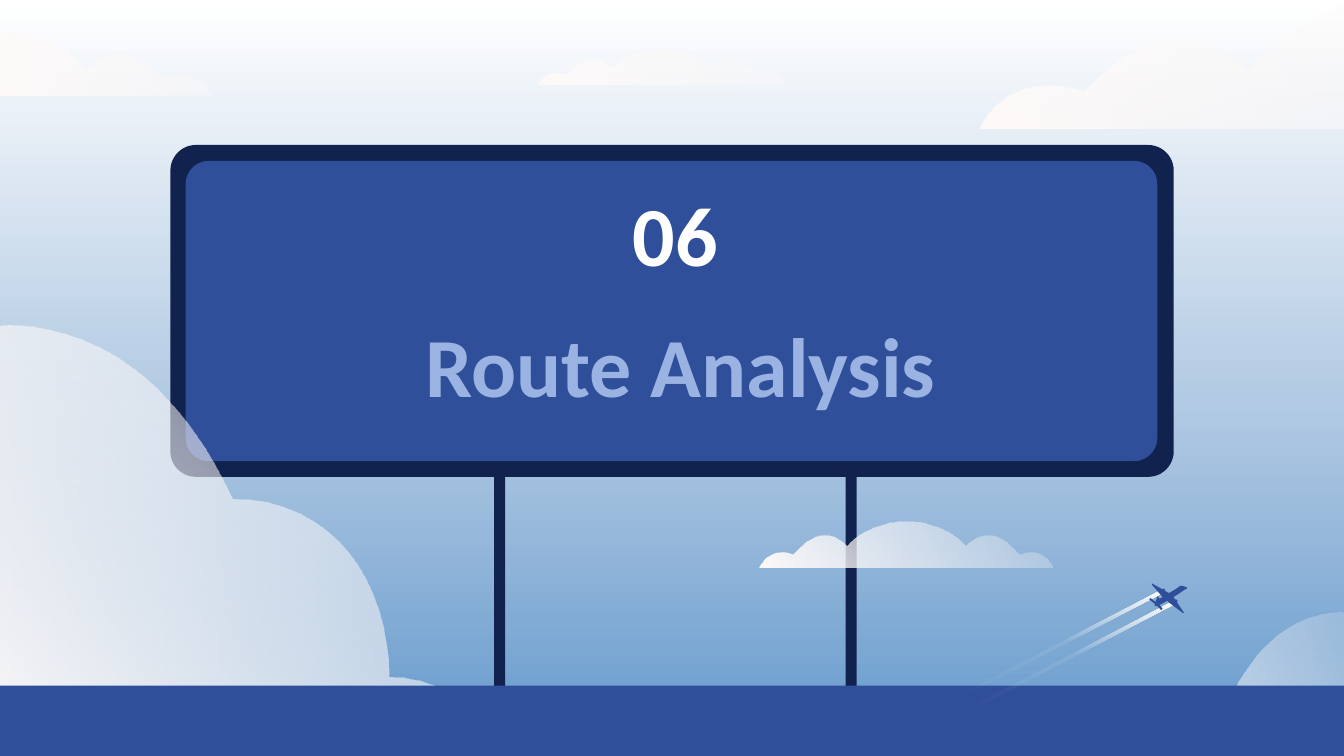
from lxml import etree
from pptx import Presentation
from pptx.dml.color import RGBColor
from pptx.enum.shapes import MSO_SHAPE
from pptx.enum.text import MSO_ANCHOR, MSO_AUTO_SIZE, PP_ALIGN
from pptx.oxml.ns import qn
from pptx.util import Pt

ROUND, RECT = MSO_SHAPE.ROUNDED_RECTANGLE, MSO_SHAPE.RECTANGLE
MIDDLE, CENTER, FIXED = MSO_ANCHOR.MIDDLE, PP_ALIGN.CENTER, MSO_AUTO_SIZE.NONE
HEX = {"navy": "11224E", "blue": "304F9B", "pale": "9AB3E3", "white": "FFFFFF",
       "cream": "FEFAF9", "sky": "6599CC", "mist": "B2CAE3"}
UNIT = Pt(0.72)  # drawing grid of the outlines


def blend(fill, stops, angle):
    """Gradient fill; each stop is (position %, colour name, opacity %)."""
    fill.gradient()
    fill.gradient_angle = angle
    items = fill._fill._gradFill.find(qn("a:gsLst"))
    for old in list(items):
        items.remove(old)
    for pos, name, alpha in stops:
        stop = etree.SubElement(items, qn("a:gs"), pos=str(pos * 1000))
        tint = etree.SubElement(stop, qn("a:srgbClr"), val=HEX[name])
        if alpha < 100:
            etree.SubElement(tint, qn("a:alpha"), val=str(alpha * 1000))


def draw(start, *parts):
    """Closed outline: two numbers make a line, six make a Bezier curve."""
    dots = [part[i:i + 2] for part in parts for i in range(0, len(part), 2)]
    pen = shapes.build_freeform(start[0] * UNIT, start[1] * UNIT)
    pen.add_line_segments([(x * UNIT, y * UNIT) for x, y in dots], close=True)
    form = pen.convert_to_shape()
    # Join the three lines of each curve into one Bezier segment
    lines = iter(list(form._element.iter(qn("a:lnTo"))))
    for part in parts:
        group = [next(lines) for _ in range(len(part) // 2)]
        if len(group) == 3:
            curve = etree.Element(qn("a:cubicBezTo"))
            group[0].addprevious(curve)
            for line in group:
                curve.append(line[0])
                line.getparent().remove(line)
    form.shadow.inherit = False
    form.line.fill.background()
    return form


deck = Presentation()
deck.slide_width, deck.slide_height = Pt(720), Pt(405)
slide = deck.slides.add_slide(deck.slide_layouts[0])
shapes = slide.shapes

# Sky
blend(slide.background.fill,
      [(0, "sky", 100), (47, "mist", 100), (100, "white", 100)], 90)

# Signboard: two posts, frame, panel
board = [(264.7, 166, 5.9, 239, 0.167, "navy"), (453, 166, 5.9, 239, 0.167, "navy"),
         (91.3, 77.7, 537.5, 177.8, 0.077, "navy"),
         (99.5, 86.2, 520.5, 160.8, 0.077, "blue")]
for x, y, w, h, bend, name in board:
    part = shapes.add_shape(ROUND, Pt(x), Pt(y), Pt(w), Pt(h))
    part.adjustments[0] = bend
    part.shadow.inherit = False
    part.fill.solid()
    part.fill.fore_color.rgb = RGBColor.from_string(HEX[name])
    part.line.fill.background()

# Clouds at the edges
haze = [(0, "cream", 19), (100, "cream", 100)]
edge = [
    [(-1, 243), (-1, 243, 106, 226, 173, 371), (248, 371, 289, 433, 289, 503),
     (354, 503, 383, 568, 383, 568), (-1, 568)],
    [(1000, 456), (1000, 456, 949, 448, 916, 518), (880, 518, 861, 547, 861, 581),
     (829, 581, 815, 612, 815, 612), (1000, 612)],
    [(-1, 24), (-1, 24, 29, 16, 64, 51), (90, 30, 106, 44, 121, 58),
     (149, 49, 158, 71, 158, 71), (-1, 71)],
    [(1065, -5), (1065, -5, 1002, -22, 928, 52), (872, 9, 837, 38, 807, 68),
     (747, 49, 729, 96, 729, 96), (1065, 96)],
]
for cloud in edge:
    blend(draw(*cloud).fill, haze, 225)

# Ground
ground = shapes.add_shape(RECT, 0, Pt(367.4), Pt(720), Pt(37.6))
ground.shadow.inherit = False
ground.fill.solid()
ground.fill.fore_color.rgb = RGBColor.from_string(HEX["blue"])
ground.line.fill.background()

# Floating clouds: left half, mirrored, at two sizes
half = [(0, 0), (-17, 0), (-33, 6), (-44, 18), (-50, 12), (-56, 10), (-61, 10), (-70, 10),
        (-77, 17), (-84, 24), (-87, 23), (-90, 22), (-92, 22), (-105, 22), (-109, 34), (-109, 34)]
whole = half + [(-x, y) for x, y in reversed(half)]
for x, y, wide, high in [(674, 388, 1, 1), (492, 37, 0.84, 0.76)]:
    dots = [(x + wide * a, y + high * b) for a, b in whole]
    curves = [sum(dots[i:i + 3], ()) for i in (1, 4, 7, 10, 13, 17, 20, 23, 26, 29)]
    blend(draw(dots[0], *curves[:5], dots[16], *curves[5:]).fill, haze, 225)

# Heading and number
lines = [(shapes.title, "Route Analysis", "pale", (92.9, 165.6, 543.6, 59), 7.2),
         (slide.placeholders[1], "06", "white", (294.5, 81, 134.6, 80.6), 14.4)]
for box, words, name, (x, y, w, h), top in lines:
    box.left, box.top, box.width, box.height = Pt(x), Pt(y), Pt(w), Pt(h)
    shapes._spTree.append(box._element)  # bring in front of the board
    frame = box.text_frame
    frame.word_wrap, frame.auto_size, frame.vertical_anchor = True, FIXED, MIDDLE
    frame.margin_left = frame.margin_right = frame.margin_bottom = Pt(7.2)
    frame.margin_top = Pt(top)
    para = frame.paragraphs[0]
    para.alignment, para.space_before = CENTER, Pt(0)
    run = para.add_run()
    run.text = words
    run.font.name, run.font.size, run.font.bold = "Calibri", Pt(45), True
    run.font.color.rgb = RGBColor.from_string(HEX[name])

# Vapour trails
for x, y in [(719, 439), (727, 448)]:
    trail = draw((x + 1, y + 78), (x, y + 75), (x + 144.5, y), (x + 147, y + 2.5))
    blend(trail.fill, [(0, "white", 100), (50, "cream", 10), (100, "cream", 0)], 270)

# Plane: body, wings, engines, tail
plane = [
    [(880, 436), (880, 436, 880, 436, 880, 436), (879, 436, 879, 436, 878, 436),
     (876, 438, 868, 442, 866, 444), (864, 445, 861, 446, 860, 447), (859, 451),
     (861, 451, 865, 449, 865, 449), (865, 449, 879, 441, 881, 439),
     (884, 438, 883, 437, 883, 437), (882, 436, 881, 436, 880, 436)],
    [(873, 444), (867, 446), (872, 450), (880, 456), (881, 456)],
    [(875, 446), (875, 446, 875, 446, 875, 446), (874, 446, 874, 447, 874, 448),
     (874, 448, 875, 449, 875, 449), (876, 449, 876, 449, 876, 448),
     (877, 448, 876, 446, 875, 446)],
    [(862, 449), (860, 450), (864, 454), (865, 453)],
    [(857, 434), (857, 435), (864, 443), (866, 446), (871, 442)],
    [(866, 438), (865, 438, 865, 439, 864, 439), (864, 440, 865, 441, 866, 441),
     (866, 441, 866, 441, 866, 441), (867, 440, 867, 440, 867, 439),
     (867, 438, 866, 438, 866, 438)],
    [(856, 445), (855, 446), (860, 450), (860, 448)],
    [(862, 444), (861, 444), (860, 448), (863, 446)],
    [(875, 446), (873, 447), (875, 448)],
    [(865, 438), (864, 439), (865, 440)],
]
for piece in plane:
    form = draw(*piece)
    form.fill.solid()
    form.fill.fore_color.rgb = RGBColor.from_string(HEX["blue"])

deck.save("out.pptx")
